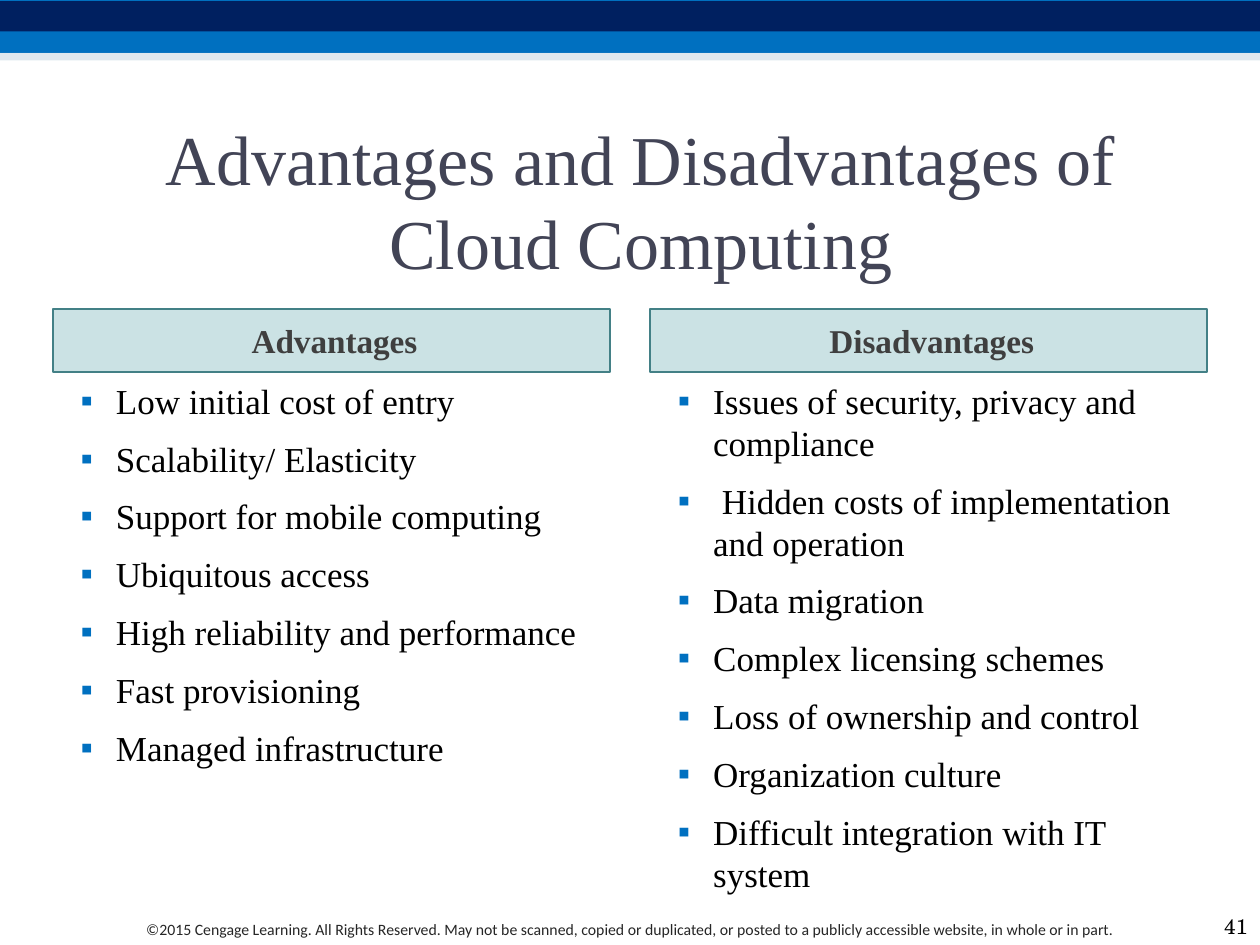
from lxml import etree
from pptx import Presentation
from pptx import util as u
from pptx.dml.color import RGBColor
from pptx.enum import shapes, text
from pptx.oxml import ns

BLUE = RGBColor(0x00, 0x70, 0xC0)
NAVY = RGBColor(0x00, 0x20, 0x60)
PALE = RGBColor(0xBE, 0xD3, 0xE1)
TEAL = RGBColor(0x32, 0x8E, 0x97)
EDGE = RGBColor(0x43, 0x80, 0x86)
SLATE = RGBColor(0x42, 0x44, 0x56)
GREY = RGBColor(0x3F, 0x3F, 0x3F)
DARK = RGBColor(0x26, 0x26, 0x26)
BLACK = RGBColor(0, 0, 0)

SERIF = "Times New Roman"
TITLE = dict(name=SERIF, size=u.Pt(40), bold=False, color=SLATE)
HEAD = dict(name=SERIF, size=u.Pt(19), bold=True, color=GREY)
ITEM = dict(name=SERIF, size=u.Pt(20), bold=False, color=BLACK)
NOTE = dict(name="Calibri", size=u.Pt(9), color=DARK)
PAGE = dict(name="TeX Gyre Schola", size=u.Pt(12), color=BLACK)

COLUMNS = [
    ("Advantages", [
        "Low initial cost of entry",
        "Scalability/ Elasticity",
        "Support for mobile computing",
        "Ubiquitous access",
        "High reliability and performance",
        "Fast provisioning",
        "Managed infrastructure",
    ]),
    ("Disadvantages", [
        "Issues of security, privacy and compliance",
        " Hidden costs of implementation and operation",
        "Data migration",
        "Complex licensing schemes",
        "Loss of ownership and control",
        "Organization culture",
        "Difficult integration with IT system",
    ]),
]
NOTICE = ("©2015 Cengage Learning. All Rights Reserved. May not be scanned, "
          "copied or duplicated, or posted to a publicly accessible website, "
          "in whole or in part.")


def place(shape, box):
    """Move and size a shape to a box in inches."""
    for key, val in zip(("left", "top", "width", "height"), box):
        setattr(shape, key, u.Inches(val))


def tint(fill, color, alpha=100):
    """Fill with a solid colour at an opacity in percent."""
    fill.solid()
    fill.fore_color.rgb = color
    if alpha < 100:
        node = fill._xPr.find(ns.qn("a:solidFill"))[0]
        etree.SubElement(node, ns.qn("a:alpha"), val=str(alpha * 1000))


def style(font, form):
    """Apply a dict of format values to a font."""
    for key, val in form.items():
        if key == "color":
            font.color.rgb = val
        else:
            setattr(font, key, val)


def bullet(para):
    """Give a paragraph a blue square bullet."""
    props = para._p.get_or_add_pPr()
    color = etree.SubElement(props, ns.qn("a:buClr"))
    etree.SubElement(color, ns.qn("a:srgbClr"), val=str(BLUE))
    etree.SubElement(props, ns.qn("a:buChar"), char="▪")


def write(shape, lines, form, align, anchor, left=0, hang=0, gap=(0, 0)):
    """Write formatted paragraphs into a shape."""
    frame = shape.text_frame
    frame.word_wrap = True
    frame.auto_size = text.MSO_AUTO_SIZE.NONE
    frame.vertical_anchor = anchor
    for i, line in enumerate(lines):
        para = frame.paragraphs[0] if i == 0 else frame.add_paragraph()
        props = para._p.get_or_add_pPr()
        props.set("marL", str(u.Inches(left)))
        props.set("indent", str(u.Inches(-hang)))
        if hang:
            bullet(para)
        para.alignment = align
        para.space_before = u.Pt(gap[0] if i else 0)
        para.space_after = u.Pt(gap[1])
        run = para.add_run()
        run.text = line
        style(run.font, form)


def band(slide, top, height, color, alpha=100):
    """Draw a full-width stripe."""
    box = [u.Inches(n) for n in (0, top, 10, height)]
    shape = slide.shapes.add_shape(shapes.MSO_SHAPE.RECTANGLE, *box)
    shape.shadow.inherit = False
    shape.line.fill.background()
    tint(shape.fill, color, alpha)


def column(head, body, left, name, items):
    """Fill one headed list column."""
    place(head, (left, 2.45, 4.42, 0.5))
    tint(head.fill, TEAL, 25)
    head.line.color.rgb = EDGE
    head.line.width = u.Pt(1)
    write(head, [name], HEAD, text.PP_ALIGN.CENTER, text.MSO_ANCHOR.MIDDLE,
          left=0.05, gap=(0, 6))
    place(body, (left, 2.96, 4.42, 4.25))
    write(body, items, ITEM, text.PP_ALIGN.LEFT, text.MSO_ANCHOR.TOP,
          left=0.4, hang=0.28, gap=(3, 6))


def label(slide, box, line, form, align, anchor):
    """Add a one-line text box."""
    shape = slide.shapes.add_textbox(*[u.Inches(n) for n in box])
    write(shape, [line], form, align, anchor)


def main():
    """Build and save the slide."""
    deck = Presentation()
    deck.slide_width, deck.slide_height = u.Inches(10), u.Inches(7.5)
    slide = deck.slides.add_slide(deck.slide_layouts.get_by_name("Comparison"))
    band(slide, 0, 0.42, BLUE)
    band(slide, 0.01, 0.24, NAVY)
    band(slide, 0.42, 0.06, PALE, 50)
    title, *slots = slide.placeholders
    place(title, (0.5, 1, 9.17, 1.17))
    write(title, ["Advantages and Disadvantages of Cloud Computing"], TITLE,
          text.PP_ALIGN.CENTER, text.MSO_ANCHOR.MIDDLE)
    for i, (name, items) in enumerate(COLUMNS):
        head, body = slots[2 * i:2 * i + 2]
        column(head, body, 0.42 + 4.74 * i, name, items)
    label(slide, (0.58, 7.25, 8.83, 0.25), NOTICE, NOTE,
          text.PP_ALIGN.CENTER, text.MSO_ANCHOR.TOP)
    label(slide, (9.5, 7.17, 0.5, 0.33), "41", PAGE,
          text.PP_ALIGN.RIGHT, text.MSO_ANCHOR.BOTTOM)
    deck.save("out.pptx")


if __name__ == "__main__":
    main()
